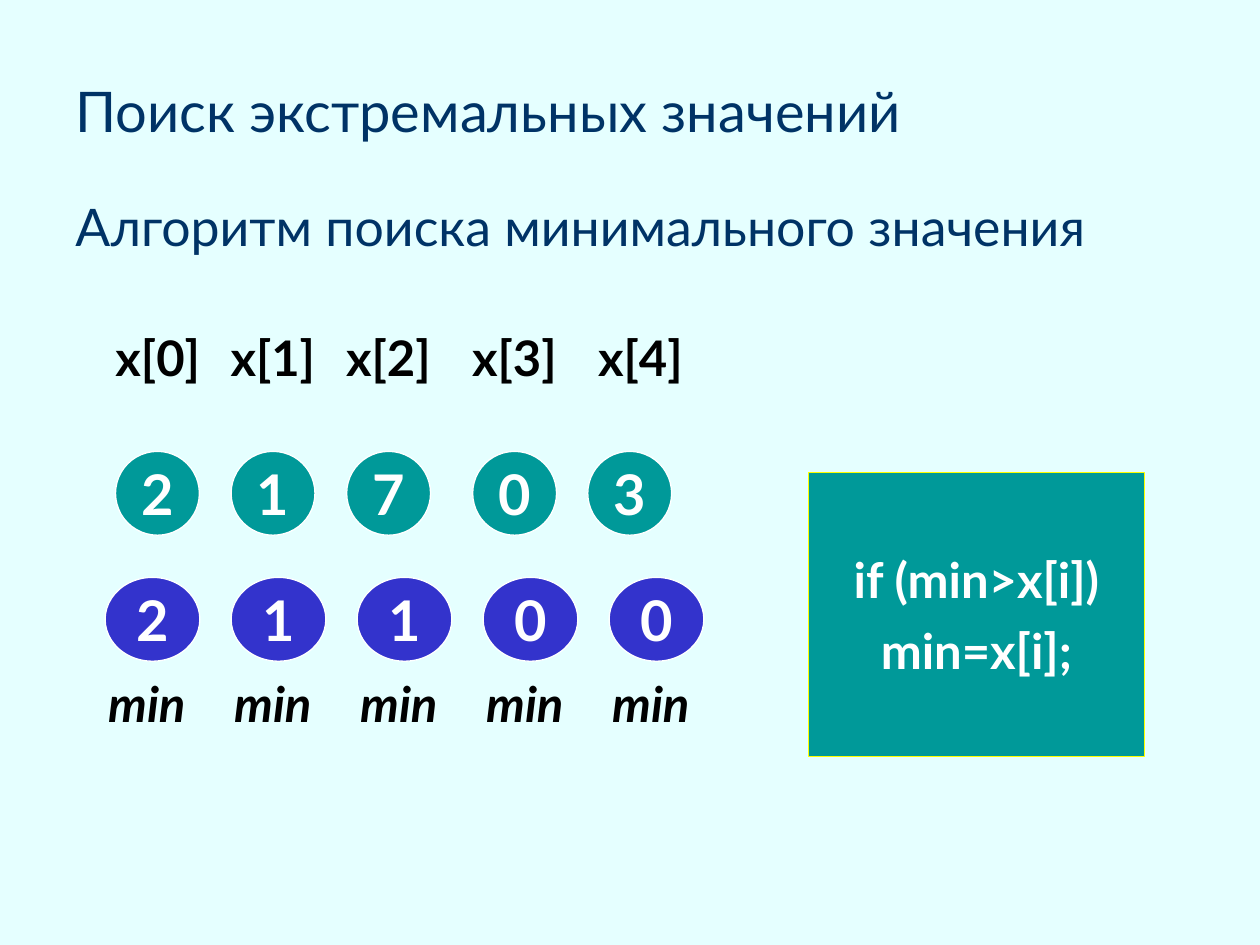
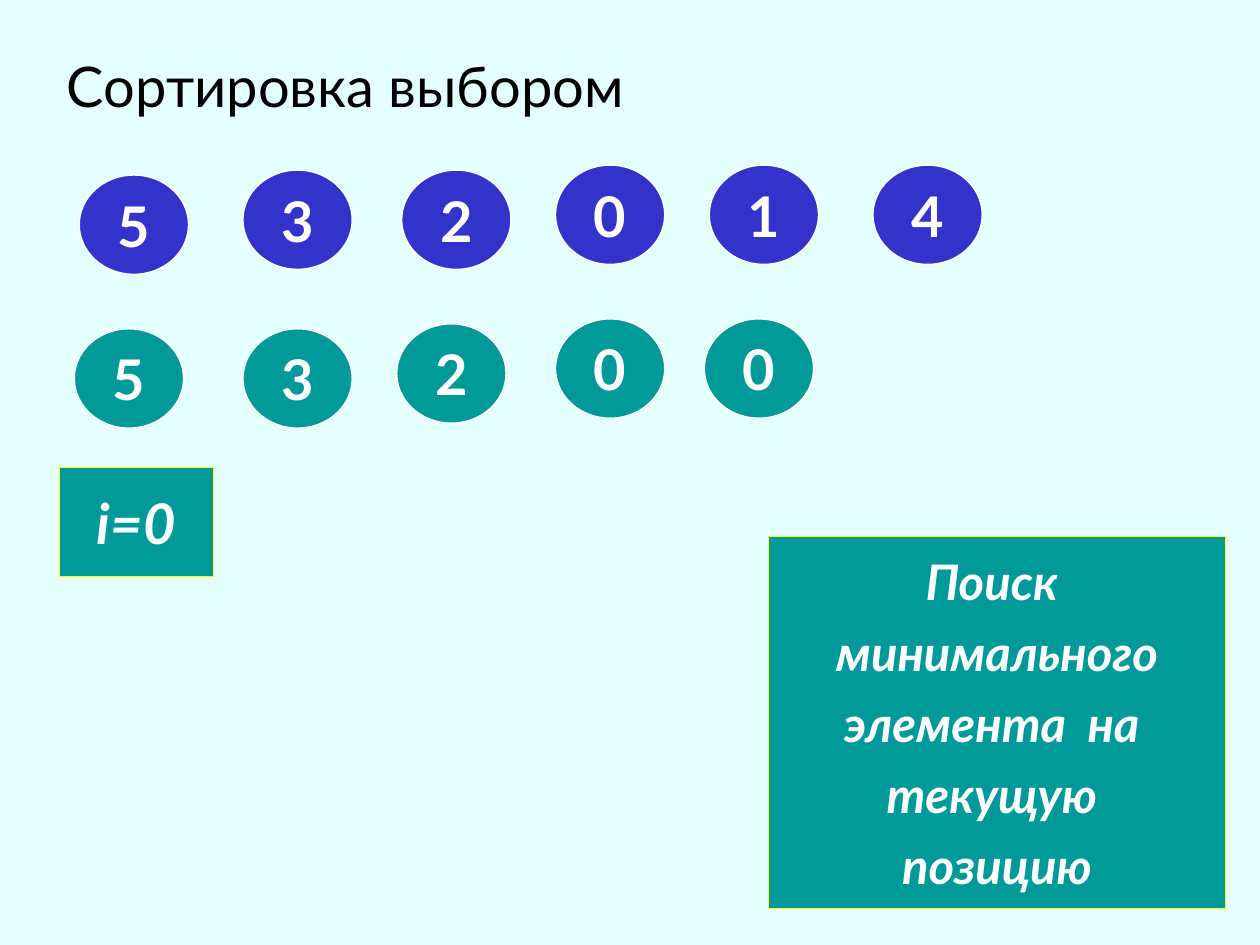
from pptx import Presentation
from pptx import util as u
from pptx.dml import color
from pptx.enum import shapes, text

# Shared style
FONT = "Lato"
BACKDROP, NAVY, BLACK, WHITE = "E5FFFF", "003366", "000000", "FFFFFF"
TEAL, BLUE, YELLOW = "009999", "3333CC", "FFFF00"
LARGE, MEDIUM = 32, 28


def rgb(hex_code):
    return color.RGBColor.from_string(hex_code)


def write(item, lines, size, ink, bold=True, italic=False, before=None):
    """Centre the lines in the item, one paragraph each."""
    frame = item.text_frame
    frame.word_wrap = False
    frame.vertical_anchor = text.MSO_ANCHOR.MIDDLE
    for number, line in enumerate(lines):
        paragraph = frame.paragraphs[0] if number == 0 else frame.add_paragraph()
        paragraph.alignment = text.PP_ALIGN.CENTER
        paragraph.space_before = u.Pt(size // 4 if before is None else before)
        run = paragraph.add_run()
        run.text = line
        run.font.name = FONT
        run.font.size = u.Pt(size)
        run.font.bold = bold
        run.font.italic = italic
        run.font.color.rgb = rgb(ink)


def add_label(slide, box, line, italic=False):
    label = slide.shapes.add_textbox(*map(u.Cm, box))
    write(label, [line], MEDIUM, BLACK, italic=italic)


def add_heading(slide, box, line, size, ink, before, anchor):
    heading = slide.shapes.add_textbox(*map(u.Cm, box))
    write(heading, [line], size, ink, bold=False, before=before)
    heading.text_frame.word_wrap = True
    heading.text_frame.vertical_anchor = anchor
    heading.text_frame.paragraphs[0].alignment = text.PP_ALIGN.LEFT


def add_figure(slide, preset, box, fill, outline):
    figure = slide.shapes.add_shape(preset, *map(u.Cm, box))
    figure.shadow.inherit = False
    figure.fill.solid()
    figure.fill.fore_color.rgb = rgb(fill)
    figure.line.color.rgb = rgb(outline)
    figure.line.width = u.Pt(0.75)
    return figure


def add_number(slide, box, fill, digit):
    ball = add_figure(slide, shapes.MSO_SHAPE.OVAL, box, fill, WHITE)
    write(ball, [digit], LARGE, WHITE)


def add_panel(slide, box, lines, size=MEDIUM, italic=False):
    panel = add_figure(slide, shapes.MSO_SHAPE.RECTANGLE, box, TEAL, YELLOW)
    write(panel, lines, size, WHITE, italic=italic)


def build_minimum_search(slide):
    add_heading(slide, (1.27, 1.27, 22.86, 1.91), "Поиск экстремальных значений",
                LARGE, NAVY, 0, text.MSO_ANCHOR.MIDDLE)
    add_heading(slide, (1.27, 3.81, 22.86, 1.91),
                "Алгоритм поиска минимального значения",
                29.6, NAVY, 8, text.MSO_ANCHOR.TOP)

    # Array elements under their indices
    index_lefts = (1.91, 4.23, 6.56, 9.1, 11.64)
    element_lefts = (2.33, 4.66, 6.99, 9.53, 11.85)
    for i, (index_left, element_left, element) in enumerate(
            zip(index_lefts, element_lefts, "21703")):
        add_label(slide, (index_left, 6.14, 2.54, 2.12), f"x[{i}]")
        add_number(slide, (element_left, 9.1, 1.69, 1.69), TEAL, element)

    # Running minimum after each step
    step = 2.54
    for i, minimum in enumerate("21100"):
        add_number(slide, (2.12 + i * step, 11.64, 1.91, 1.69), BLUE, minimum)
        add_label(slide, (1.69 + i * step, 13.12, step, 2.12), "min", italic=True)

    add_panel(slide, (16.3, 9.53, 6.77, 5.72), ["if (min>x[i])", "min=x[i];"])


def build_selection_sort(slide):
    add_heading(slide, (1.1, 0.91, 22.86, 2), "Сортировка выбором",
                LARGE, BLACK, 8, text.MSO_ANCHOR.TOP)

    # Source array, then the minimum found so far
    array = [(1.6, 3.53, "5"), (4.9, 3.43, "3"), (8.1, 3.43, "2"),
             (11.2, 3.33, "0"), (14.3, 3.33, "1"), (17.6, 3.33, "4")]
    minima = [(1.5, 6.63, "5"), (4.9, 6.63, "3"), (8, 6.53, "2"),
              (11.2, 6.43, "0"), (14.2, 6.43, "0")]
    for fill, row in ((BLUE, array), (TEAL, minima)):
        for left, top, digit in row:
            add_number(slide, (left, top, 2.2, 2), fill, digit)

    # Current pass and its explanation
    add_panel(slide, (1.2, 9.43, 3.1, 2.2), ["i=0"], LARGE, italic=True)
    add_panel(slide, (15.5, 10.82, 9.2, 7.5),
              ["Поиск ", "минимального", "элемента  на ", "текущую ", "позицию"],
              italic=True)


def main():
    deck = Presentation()
    deck.slide_width, deck.slide_height = u.Cm(25.4), u.Cm(19.05)
    backdrop = deck.slide_master.background.fill
    backdrop.solid()
    backdrop.fore_color.rgb = rgb(BACKDROP)
    for build in (build_minimum_search, build_selection_sort):
        build(deck.slides.add_slide(deck.slide_layouts[6]))
    deck.save("out.pptx")


if __name__ == "__main__":
    main()
